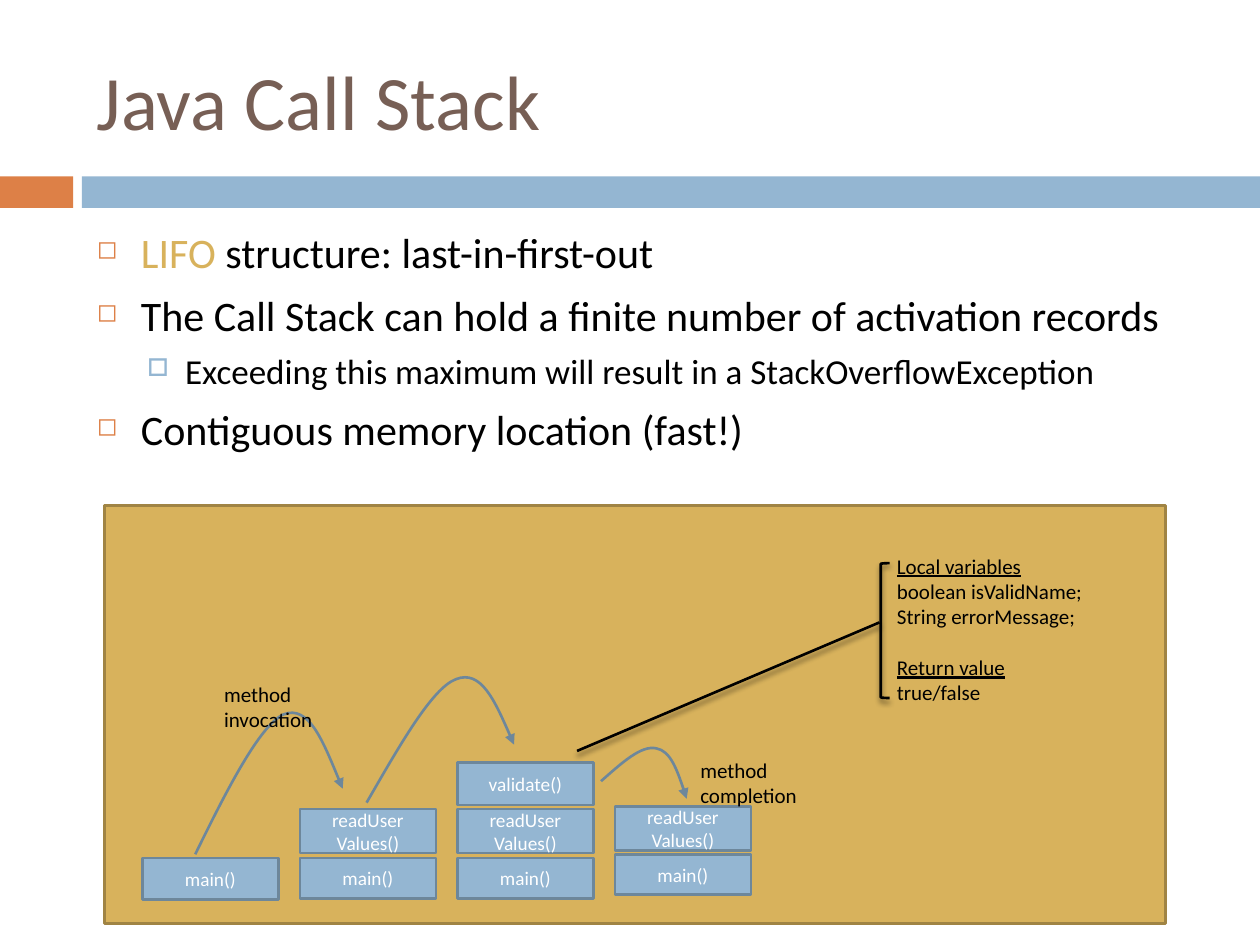
from typing import Any, NamedTuple

from lxml import etree
from pptx import Presentation
from pptx import util as u
from pptx.dml.color import RGBColor
from pptx.enum import shapes, text
from pptx.oxml import ns

WIDE, HIGH = u.Inches(10), u.Inches(7.5)
COL, ROW = WIDE / 100, HIGH / 75

BLUE = RGBColor(0x94, 0xB6, 0xD2)
STEEL = RGBColor(0x6D, 0x87, 0x9B)
ORANGE = RGBColor(0xDD, 0x80, 0x47)
GOLD = RGBColor(0xD8, 0xB2, 0x5C)
BRONZE = RGBColor(0xA0, 0x84, 0x44)
BROWN = RGBColor(0x77, 0x5F, 0x55)
BLACK = RGBColor(0, 0, 0)
WHITE = RGBColor(255, 255, 255)

FRAME = {"word_wrap": True, "auto_size": text.MSO_AUTO_SIZE.NONE}
MIDDLE = {"vertical_anchor": text.MSO_ANCHOR.MIDDLE}
CENTER = {"alignment": text.PP_ALIGN.CENTER}


class Area(NamedTuple):
    x: float
    y: float
    w: float
    h: float


class Run(NamedTuple):
    words: str
    size: float
    color: RGBColor = BLACK
    under: bool = False


class Line(NamedTuple):
    runs: list[Run]
    gap: float = 0
    level: int = 0
    mark: str = ""


class Mark(NamedTuple):
    left: float
    hang: float
    color: RGBColor
    share: int


class Stack(NamedTuple):
    base: float
    tops: list[float]
    sizes: list[float]


class Arc(NamedTuple):
    start: tuple[float, float]
    bends: list[list[tuple[float, float]]]


MARKS = [Mark(0.35, 0.35, ORANGE, 60), Mark(0.7, 0.3, BLUE, 70)]
CALLS = [["main()"], ["readUser", "Values()"], ["validate()"]]
STACKS = [
    Stack(11.3, [68.1], [3.3]),
    Stack(23.8, [68.1, 64.2], [3.2, 3.5]),
    Stack(36.3, [68.1, 64.2, 60.5], [3.2, 3.5, 3.4]),
    Stack(48.8, [67.8, 64], [3.2, 3.5]),
]
ARCS = [
    Arc((15.5, 67.8), [[(18, 62.7), (20.6, 57.6), (22.5, 56.7)],
                       [(24.5, 55.9), (25.8, 59.2), (27.2, 62.6)]]),
    Arc((29.1, 63.7), [[(31.7, 59.2), (34.3, 54.6), (36.2, 53.9)],
                       [(38.2, 53.1), (39.5, 56.1), (40.8, 59.1)]]),
    Arc((47.7, 62), [[(49.3, 60.6), (50.9, 59.1), (52.1, 59.4)],
                     [(53.2, 59.6), (53.9, 61.5), (54.5, 63.4)]]),
]
POINTS = [
    Line([Run("LIFO", 24, GOLD), Run(" structure: last-in-first-out", 24)], 0, 0, "◻"),
    Line([Run("The Call Stack can hold a finite number of activation records", 24)], 7, 0, "◻"),
    Line([Run("Exceeding this maximum will result in a StackOverflowException", 20)], 5.5, 1, "□"),
    Line([Run("Contiguous memory location (fast!)", 24)], 7, 0, "◻"),
]
LOCALS = [
    Line([Run("Local variables", 12, under=True)]),
    Line([Run("boolean isValidName;", 12)]),
    Line([Run("String errorMessage;", 12)]),
    Line([Run("Return value", 12, under=True)], 14.6),
    Line([Run("true/false", 12)]),
]


def spot(x: float, y: float) -> tuple[int, int]:
    return round(x * COL), round(y * ROW)


def place(area: Area) -> tuple[int, int, int, int]:
    return spot(area.x, area.y) + spot(area.w, area.h)


def apply(item: Any, look: dict[str, Any]) -> None:
    for name, value in look.items():
        setattr(item, name, value)


def node(root: Any, tag: str, **attrs: Any) -> Any:
    return etree.SubElement(root, ns.qn(tag), {k: str(v) for k, v in attrs.items()})


def stroke(item: Any, color: RGBColor) -> None:
    item.line.color.rgb = color
    item.line.width = u.Pt(1.5)


def shade(props: Any) -> None:
    root = props.find(ns.qn("a:effectLst"))
    if root is None:
        root = node(props, "a:effectLst")
    cast = node(root, "a:outerShdw", blurRad=u.Pt(3), dist=u.Pt(2.4),
                dir=5400000, rotWithShape=0)
    node(node(cast, "a:srgbClr", val=BLACK), "a:alpha", val=45000)


def bullet(para: Any, line: Line) -> None:
    mark = MARKS[line.level]
    props = para._p.get_or_add_pPr()
    props.set("marL", str(u.Inches(mark.left)))
    props.set("indent", str(-u.Inches(mark.hang)))
    node(node(props, "a:buClr"), "a:srgbClr", val=mark.color)
    node(props, "a:buSzPct", val=mark.share * 1000)
    node(props, "a:buChar", char=line.mark)


def write(frame: Any, lines: list[Line], look: dict[str, Any], form: dict[str, Any]) -> None:
    apply(frame, FRAME | look)
    for i, line in enumerate(lines):
        para = frame.add_paragraph() if i else frame.paragraphs[0]
        apply(para, {"level": line.level, "space_before": u.Pt(line.gap)} | form)
        if line.mark:
            bullet(para, line)
        for part in line.runs:
            run = para.add_run()
            run.text = part.words
            apply(run.font, {"name": "Calibri", "size": u.Pt(part.size),
                             "underline": part.under})
            run.font.color.rgb = part.color


def label(slide: Any, area: Area, lines: list[Line], **look: Any) -> None:
    write(slide.shapes.add_textbox(*place(area)).text_frame, lines, look, {})


def block(slide: Any, area: Area, fill: RGBColor, edge: RGBColor | None = None) -> Any:
    box = slide.shapes.add_shape(shapes.MSO_SHAPE.RECTANGLE, *place(area))
    box.shadow.inherit = False
    box.fill.solid()
    box.fill.fore_color.rgb = fill
    if edge is None:
        box.line.fill.background()
    else:
        stroke(box, edge)
    return box


def pile(slide: Any, stack: Stack) -> None:
    for call, top, size in zip(CALLS, stack.tops, stack.sizes):
        box = block(slide, Area(stack.base, top, 10.8, size), BLUE, STEEL)
        write(box.text_frame, [Line([Run(word, 11, WHITE)]) for word in call], MIDDLE, CENTER)


def curve(slide: Any, arc: Arc) -> None:
    pen = slide.shapes.build_freeform(*spot(*arc.start))
    pen.add_line_segments([spot(*bend[-1]) for bend in arc.bends], close=False)
    item = pen.convert_to_shape()
    item.shadow.inherit = False
    item.fill.background()
    stroke(item, STEEL)
    node(item.line._get_or_add_ln(), "a:tailEnd", type="triangle")
    for old, bend in zip(list(item.element.iter(ns.qn("a:lnTo"))), arc.bends):
        new = node(old.getparent(), "a:cubicBezTo")
        for x, y in (spot(*point) for point in bend):
            node(new, "a:pt", x=x - item.left, y=y - item.top)
        old.getparent().replace(old, new)


def main() -> None:
    deck = Presentation()
    apply(deck, {"slide_width": WIDE, "slide_height": HIGH})
    slide = deck.slides.add_slide(deck.slide_layouts[6])
    block(slide, Area(0, 14, 5.8, 2.5), ORANGE)
    block(slide, Area(6.5, 14, 93.5, 2.5), BLUE)
    block(slide, Area(8.3, 40.1, 84.2, 33.2), GOLD, BRONZE)
    label(slide, Area(6.7, 2.5, 89.2, 10.8), [Line([Run("Java Call Stack", 44, BROWN)])], **MIDDLE)
    label(slide, Area(6.7, 17.5, 89.2, 49.2), POINTS)
    for stack in STACKS:
        pile(slide, stack)
    for arc in ARCS:
        curve(slide, arc)
    slim = u.Inches(0.4)
    label(slide, Area(16.8, 53.6, 14, 3), [Line([Run("method invocation", 12)])], margin_right=slim)
    label(slide, Area(54.6, 59.6, 14.6, 3), [Line([Run("method completion", 12)])], margin_right=slim)
    label(slide, Area(70.2, 43.4, 16.9, 13.1), LOCALS, margin_right=0)
    brace = slide.shapes.add_shape(shapes.MSO_SHAPE.LEFT_BRACKET, *place(Area(69.9, 44.7, 0.7, 10.7)))
    brace.shadow.inherit = False
    brace.fill.background()
    link = slide.shapes.add_connector(shapes.MSO_CONNECTOR.STRAIGHT, *spot(69.8, 49.4), *spot(45.8, 59.6))
    for item in (brace, link):
        stroke(item, BLACK)
        shade(item.element.spPr)
    deck.save("out.pptx")


if __name__ == "__main__":
    main()
